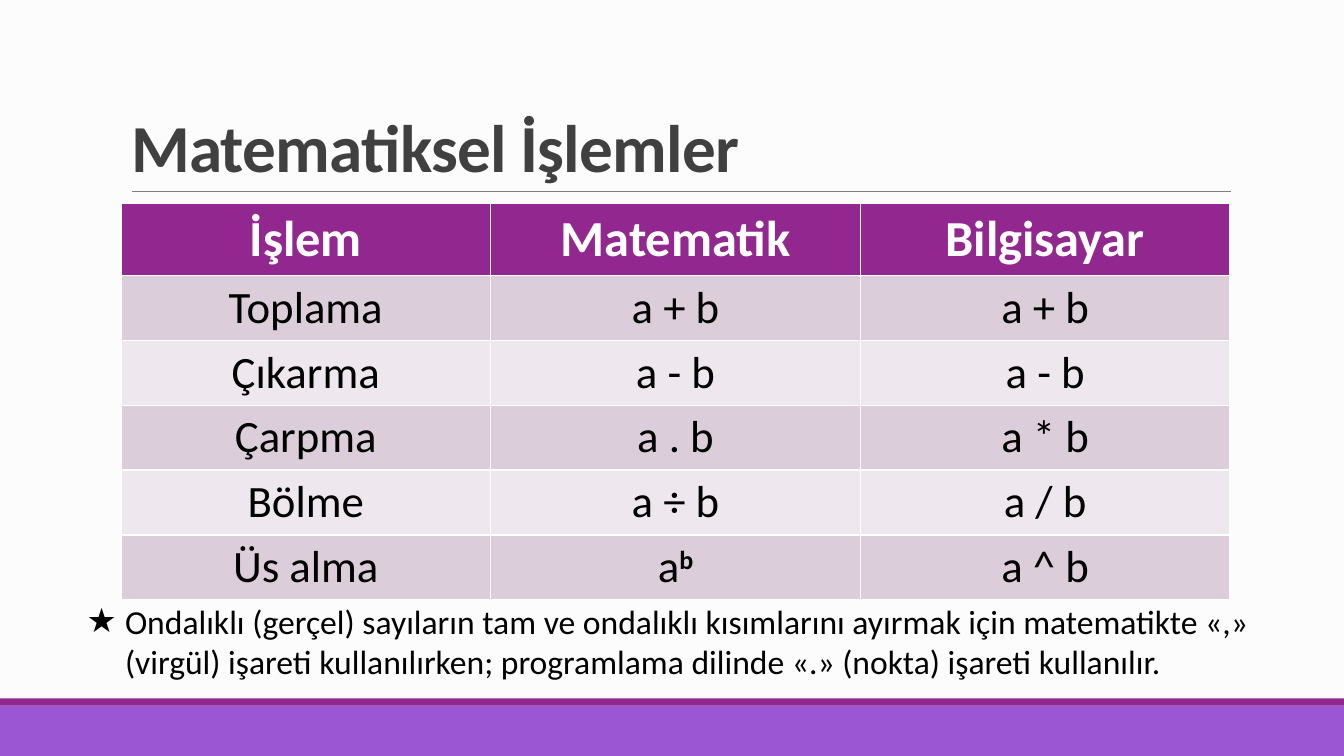
from lxml.etree import SubElement
from pptx import Presentation
from pptx.dml.color import RGBColor
from pptx.enum.shapes import MSO_CONNECTOR, MSO_SHAPE
from pptx.enum.text import MSO_ANCHOR, MSO_AUTO_SIZE, PP_ALIGN
from pptx.oxml.ns import qn
from pptx.util import Inches, Pt

FONT = "Calibri"
COLORS = {
    "background": "FCFCFC",
    "footer": "9B57D3",
    "accent": "92278F",
    "rule": "808080",
    "title": "404040",
    "text": "000000",
    "header_text": "FFFFFF",
    "band_dark": "DCCDDB",
    "band_light": "EEE8EE",
}
OPERATIONS = [
    ("İşlem", "Matematik", "Bilgisayar"),
    ("Toplama", "a + b", "a + b"),
    ("Çıkarma", "a - b", "a - b"),
    ("Çarpma", "a . b", "a * b"),
    ("Bölme", "a ÷ b", "a / b"),
    ("Üs alma", ("a", "b"), "a ^ b"),
]
NOTE = (
    "Ondalıklı (gerçel) sayıların tam ve ondalıklı kısımlarını ayırmak için "
    "matematikte «,» (virgül) işareti kullanılırken; programlama dilinde «.» "
    "(nokta) işareti kullanılır."
)


def color(name):
    return RGBColor.from_string(COLORS[name])


class SlideBuilder:
    def __init__(self, slide):
        self.slide = slide
        background = slide.background.fill
        background.solid()
        background.fore_color.rgb = color("background")

    def style(self, paragraph, size, color_name, bold=False):
        font = paragraph.font
        font.name, font.size, font.bold = FONT, Pt(size), bold
        font.color.rgb = color(color_name)

    def bar(self, top, height, color_name):
        shape = self.slide.shapes.add_shape(
            MSO_SHAPE.RECTANGLE, 0, Inches(top), Inches(13.33), Inches(height))
        shape.shadow.inherit = False
        shape.fill.solid()
        shape.fill.fore_color.rgb = color(color_name)
        shape.line.fill.background()

    def rule(self, left, right, top):
        connector = self.slide.shapes.add_connector(
            MSO_CONNECTOR.STRAIGHT, Inches(left), Inches(top), Inches(right), Inches(top))
        connector.line.color.rgb = color("rule")
        connector.line.width = Pt(0.5)
        SubElement(connector._element.spPr, qn("a:effectLst"))

    def fill_placeholder(self, placeholder, text, left, top, width, height, anchor):
        """Place a template placeholder, set its text and return its paragraph."""
        placeholder.left, placeholder.top = Inches(left), Inches(top)
        placeholder.width, placeholder.height = Inches(width), Inches(height)
        frame = placeholder.text_frame
        frame.text = text
        frame.word_wrap = True
        frame.auto_size = MSO_AUTO_SIZE.NONE
        frame.vertical_anchor = anchor
        return frame.paragraphs[0]

    def title(self, text, left, top, width, height):
        paragraph = self.fill_placeholder(
            self.slide.shapes.title, text, left, top, width, height, MSO_ANCHOR.BOTTOM)
        paragraph.alignment = PP_ALIGN.LEFT
        paragraph.line_spacing = 0.85
        self.style(paragraph, 48, "title", bold=True)
        paragraph.runs[0]._r.get_or_add_rPr().set("spc", "-50")

    def starred_note(self, text, left, top, width, height):
        paragraph = self.fill_placeholder(
            self.slide.placeholders[1], text, left, top, width, height, MSO_ANCHOR.TOP)
        paragraph.space_before = Pt(0)
        self.style(paragraph, 24, "text")
        properties = paragraph._p.get_or_add_pPr()
        properties.set("marL", str(Inches(0.38)))
        properties.set("indent", str(-Inches(0.38)))
        bullet = properties.makeelement(qn("a:buChar"), {"char": "★"})
        properties.find(qn("a:defRPr")).addprevious(bullet)

    def table(self, rows, left, top, width, header_height, row_height):
        height = header_height + row_height * (len(rows) - 1)
        table = self.slide.shapes.add_table(
            len(rows), len(rows[0]), Inches(left), Inches(top),
            Inches(width), Inches(height)).table
        for row_index, row in enumerate(rows):
            is_header = row_index == 0
            table.rows[row_index].height = Inches(header_height if is_header else row_height)
            band = "band_dark" if row_index % 2 else "band_light"
            for column_index, content in enumerate(row):
                cell = table.cell(row_index, column_index)
                cell.fill.solid()
                cell.fill.fore_color.rgb = color("accent" if is_header else band)
                cell.vertical_anchor = MSO_ANCHOR.MIDDLE
                self.cell_text(cell.text_frame.paragraphs[0], content, is_header)

    def cell_text(self, paragraph, content, is_header):
        """Write a string, or a (base, exponent) pair with a raised bold exponent."""
        paragraph.alignment = PP_ALIGN.CENTER
        base, exponent = (content, None) if isinstance(content, str) else content
        paragraph.add_run().text = base
        if exponent:
            run = paragraph.add_run()
            run.text = exponent
            run.font.bold = True
            run._r.get_or_add_rPr().set("baseline", "30000")
        size, color_name = (36, "header_text") if is_header else (32, "text")
        self.style(paragraph, size, color_name, bold=is_header)
        for run in paragraph.runs:
            run.font.size = Pt(size)
            run.font.color.rgb = color(color_name)


def main():
    presentation = Presentation()
    presentation.slide_width, presentation.slide_height = Inches(13.33), Inches(7.5)
    builder = SlideBuilder(presentation.slides.add_slide(presentation.slide_layouts[1]))
    builder.bar(7, 0.5, "footer")
    builder.bar(6.93, 0.07, "accent")
    builder.rule(1.31, 12.21, 1.9)
    builder.title("Matematiksel İşlemler", 1.2, 0.31, 11, 1.59)
    builder.table(OPERATIONS, 1.2, 2.02, 11, 0.7, 0.64)
    builder.starred_note(NOTE, 0.76, 5.91, 11.87, 0.91)
    presentation.save("out.pptx")


if __name__ == "__main__":
    main()
